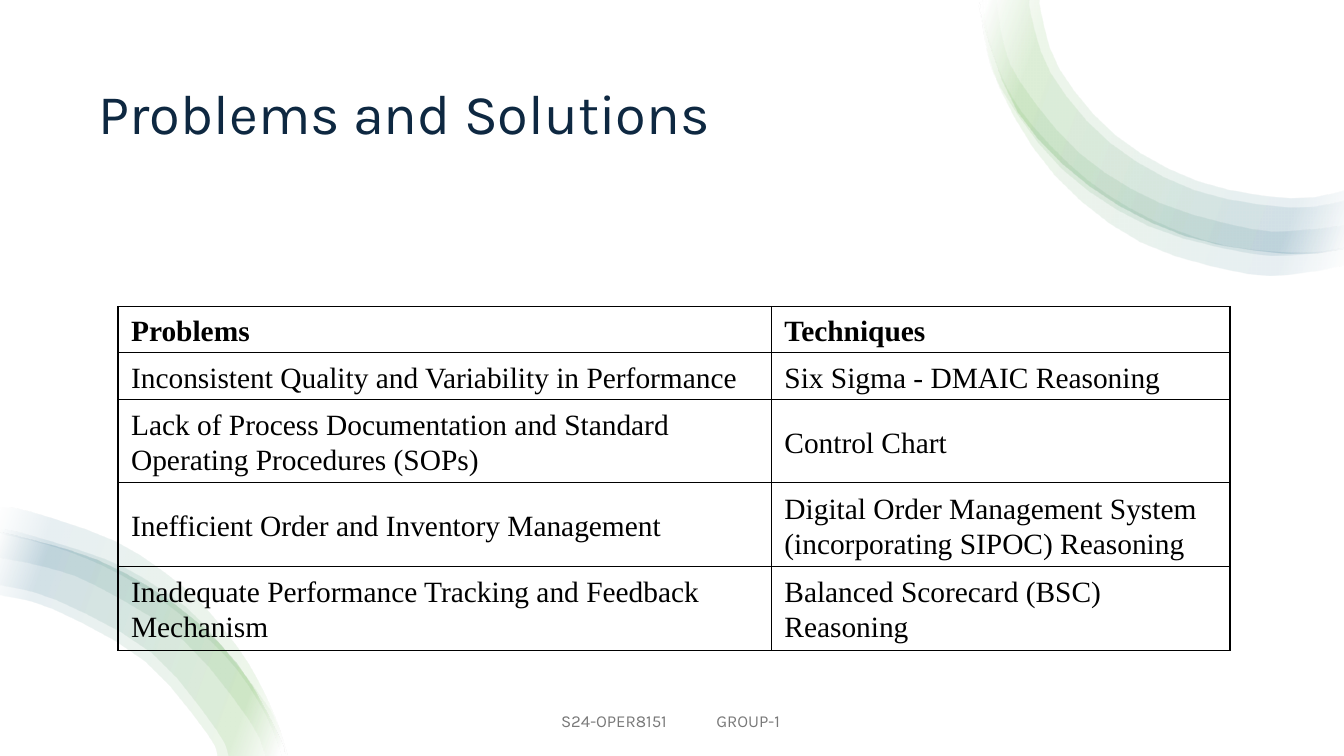
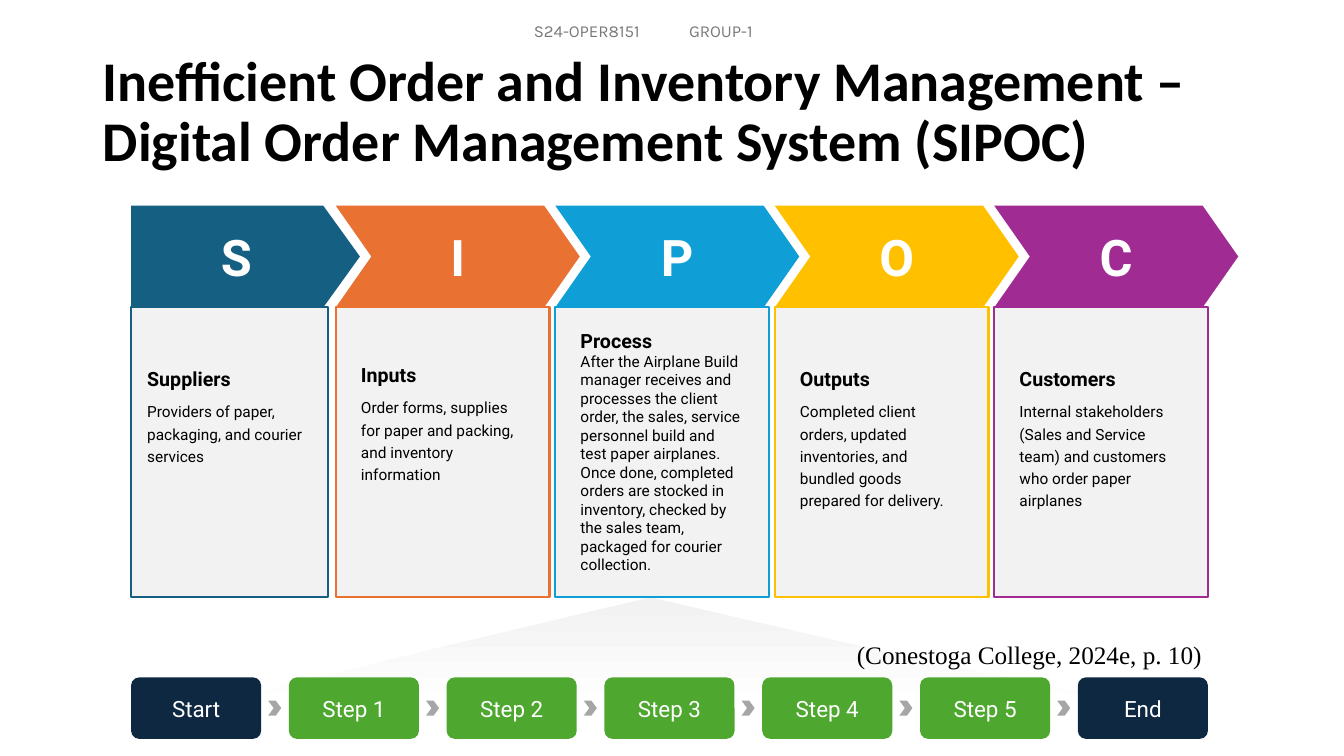
from lxml import etree
from pptx import Presentation
from pptx.dml.color import RGBColor
from pptx.enum.shapes import MSO_SHAPE as Shape
from pptx.enum.text import MSO_ANCHOR as Anchor, MSO_AUTO_SIZE as AutoSize, PP_ALIGN as Align
from pptx.oxml.ns import qn
from pptx.util import Inches, Pt

COLORS = {
    "navy": "0E2841", "teal": "156082", "orange": "E97132", "blue": "0F9ED5",
    "yellow": "FFC000", "purple": "A02B93", "green": "4EA72E", "black": "000000",
    "white": "FFFFFF", "panel": "F2F2F2", "arrow": "A6A6A6", "footer": "797979",
}
FOOTER = "S24-OPER8151 \t GROUP-1 "
SERIF = "Times New Roman"

# Ribbon bands as (outer edge, inner edge); edges run through these points.
TOP_EDGE = [(9.73, -0.01), (9.74, 0.2), (10.09, 1.11), (10.8, 1.84), (11.74, 2.33),
            (12.79, 2.51), (13.34, 2.45)]
TOP_RIBBON = [
    (TOP_EDGE, [(10.31, -0.01), (10.32, 0.12), (10.5, 0.68), (11.06, 1.34), (11.87, 1.79),
                (12.79, 1.96), (13.34, 1.88)]),
    (TOP_EDGE, [(10.21, -0.01), (10.22, 0.14), (10.42, 0.73), (11, 1.41), (11.84, 1.88),
                (12.79, 2.05), (13.34, 1.98)]),
    ([(9.73, -0.01), (9.78, 0.43), (9.94, 0.89), (10.54, 1.68), (11.39, 2.24),
      (12.39, 2.51), (12.91, 2.52), (13.34, 2.46)],
     [(9.89, -0.01), (9.95, 0.39), (10.12, 0.81), (10.71, 1.52), (11.5, 2.01),
      (12.42, 2.27), (12.89, 2.28), (13.34, 2.23)]),
    ([(9.71, -0.01), (9.72, 0.13), (9.91, 0.87), (10.46, 1.74), (11.31, 2.4),
      (12.36, 2.71), (12.92, 2.7), (13.34, 2.62)],
     [(9.74, -0.01), (9.8, 0.37), (9.97, 0.84), (10.25, 1.26), (10.79, 1.79),
      (11.43, 2.18), (12.14, 2.43), (12.9, 2.5), (13.34, 2.45)]),
]
BOTTOM_EDGE = [(0, 5.3), (0.11, 5.31), (0.96, 5.56), (1.73, 6), (2.35, 6.59),
               (2.76, 7.3), (2.82, 7.5)]
BOTTOM_RIBBON = [
    ([(0, 5.04), (0.29, 5.08), (1.15, 5.38), (1.78, 5.8), (2.1, 6.11), (2.45, 6.57),
      (2.71, 7.08), (2.85, 7.5)],
     [(0, 5.3), (0.5, 5.42), (1.02, 5.62), (1.51, 5.9), (1.95, 6.24), (2.34, 6.64),
      (2.64, 7.11), (2.79, 7.5)]),
    (BOTTOM_EDGE, [(0, 5.91), (0.53, 6.05), (1.43, 6.56), (2.05, 7.28), (2.15, 7.5)]),
    ([(0, 5.26), (0.24, 5.3), (1.06, 5.56), (1.56, 5.83), (2, 6.18), (2.68, 7.05),
      (2.83, 7.5)],
     [(0, 5.54), (0.44, 5.63), (0.94, 5.81), (1.82, 6.36), (2.47, 7.15), (2.63, 7.5)]),
    (BOTTOM_EDGE, [(0, 5.81), (0.56, 5.96), (1.5, 6.48), (2.14, 7.24), (2.26, 7.5)]),
]
RIBBON_STOPS = [(2, "white", 10), (16, "green", 10), (85, "teal", 10), (100, "white", 10)]

PROBLEMS = [
    ("Problems", "Techniques"),
    ("Inconsistent Quality and Variability in Performance", "Six Sigma - DMAIC Reasoning"),
    ("Lack of Process Documentation and Standard Operating Procedures (SOPs)",
     "Control Chart"),
    ("Inefficient Order and Inventory Management",
     "Digital Order Management System (incorporating SIPOC) Reasoning"),
    ("Inadequate Performance Tracking and Feedback Mechanism",
     "Balanced Scorecard (BSC) Reasoning"),
]

# Colour, heading, description, top of the text
SIPOC = [
    ("teal", "Suppliers", "Providers of paper, packaging, and courier services", 3.64),
    ("orange", "Inputs",
     "Order forms, supplies for paper and packing, and inventory information", 3.6),
    ("blue", "Process",
     "After the Airplane Build manager receives and processes the client order, the sales, "
     "service personnel build and test paper airplanes. Once done, completed orders are "
     "stocked in inventory, checked by the sales team, packaged for courier collection.", 3.26),
    ("yellow", "Outputs",
     "Completed client orders, updated inventories, and bundled goods prepared for delivery.",
     3.64),
    ("purple", "Customers",
     "Internal stakeholders (Sales and Service team) and customers who order paper airplanes",
     3.64),
]
STEPS = ["Start", *(f"Step {n}" for n in range(1, 6)), "End"]


def rgb(color):
    return RGBColor.from_string(COLORS[color])


def write(paragraph, text, *, size, font, color="black", bold=False,
          align=Align.LEFT, spacing=1.0, before=0, after=0):
    run = paragraph.add_run()
    run.text = text
    run.font.size, run.font.name, run.font.bold = Pt(size), font, bold
    run.font.color.rgb = rgb(color)
    paragraph.alignment, paragraph.line_spacing = align, spacing
    paragraph.space_before, paragraph.space_after = Pt(before), Pt(after)


def add_box(slide, kind, left, top, width, height, fill, line=None, adjust=None):
    box = slide.shapes.add_shape(kind, Inches(left), Inches(top), Inches(width), Inches(height))
    box.shadow.inherit = False
    box.fill.solid()
    box.fill.fore_color.rgb = rgb(fill)
    if line:
        box.line.color.rgb = rgb(line)
        box.line.width = Pt(1.5)
    else:
        box.line.fill.background()
    if adjust is not None:
        box.adjustments[0] = adjust
    return box


def add_text_frame(slide, left, top, width, height, inset=None):
    frame = slide.shapes.add_textbox(
        Inches(left), Inches(top), Inches(width), Inches(height)).text_frame
    frame.word_wrap = True
    if inset is not None:
        frame.margin_left = frame.margin_right = Inches(inset)
        frame.margin_top = frame.margin_bottom = Inches(inset)
    return frame


def add_gradient_outline(slide, points, stops, angle):
    """Closed outline with stops of (percent, colour, opacity) and a clockwise angle."""
    (start, *rest) = [(Inches(x), Inches(y)) for x, y in points]
    builder = slide.shapes.build_freeform(*start)
    builder.add_line_segments(rest, close=True)
    outline = builder.convert_to_shape()
    outline.shadow.inherit = False
    outline.line.fill.background()
    outline.fill.background()
    no_fill = outline.element.spPr.find(qn("a:noFill"))
    gradient = etree.Element(qn("a:gradFill"), rotWithShape="1")
    stop_list = etree.SubElement(gradient, qn("a:gsLst"))
    for percent, color, opacity in stops:
        stop = etree.SubElement(stop_list, qn("a:gs"), pos=str(percent * 1000))
        value = etree.SubElement(stop, qn("a:srgbClr"), val=COLORS[color])
        if opacity < 100:
            etree.SubElement(value, qn("a:alpha"), val=str(opacity * 1000))
    etree.SubElement(gradient, qn("a:lin"), ang=str(angle * 60000), scaled="0")
    no_fill.getparent().replace(no_fill, gradient)


def smooth_edge(points, pieces=3):
    """Points along a Catmull-Rom curve through the given ones."""
    padded = [points[0], *points, points[-1]]
    curve = [points[0]]
    for a, b, c, d in zip(padded, padded[1:], padded[2:], padded[3:]):
        for piece in range(1, pieces + 1):
            t = piece / pieces
            curve.append(tuple(
                q + 0.5 * t * (r - p + t * (2 * p - 5 * q + 4 * r - s
                                            + t * (3 * (q - r) + s - p)))
                for p, q, r, s in zip(a, b, c, d)))
    return curve


def add_ribbon(slide, bands, angle):
    for outer, inner in bands:
        points = smooth_edge(outer) + smooth_edge(inner)[::-1]
        add_gradient_outline(slide, points, RIBBON_STOPS, angle)


def set_title(slide, text, left, top, width, height, **style):
    title = slide.shapes.title
    title.left, title.top = Inches(left), Inches(top)
    title.width, title.height = Inches(width), Inches(height)
    frame = title.text_frame
    frame.word_wrap, frame.auto_size = True, AutoSize.NONE
    frame.vertical_anchor = Anchor.MIDDLE
    write(frame.paragraphs[0], text, size=40, spacing=0.9, **style)


def add_footer(slide, left, top):
    frame = add_text_frame(slide, left, top, 4.5, 0.4)
    frame.vertical_anchor = Anchor.MIDDLE
    write(frame.paragraphs[0], FOOTER, size=12, font="Karla", color="footer",
          align=Align.CENTER)


def add_cell_borders(cell):
    properties = cell._tc.get_or_add_tcPr()
    for position, side in enumerate(("lnL", "lnR", "lnT", "lnB")):
        border = etree.Element(qn(f"a:{side}"), w=str(Pt(1)))
        fill = etree.SubElement(border, qn("a:solidFill"))
        etree.SubElement(fill, qn("a:srgbClr"), val=COLORS["black"])
        properties.insert(position, border)


def add_problem_table(slide):
    table = slide.shapes.add_table(
        len(PROBLEMS), 2, Inches(1.17), Inches(3.04), Inches(11.03), Inches(3.41)).table
    table.first_row = table.horz_banding = False
    for column, width in zip(table.columns, (6.48, 4.55)):
        column.width = Inches(width)
    for row, height, texts in zip(table.rows, (0.46, 0.46, 0.83, 0.83, 0.83), PROBLEMS):
        row.height = Inches(height)
        for cell, text in zip(row.cells, texts):
            cell.fill.background()
            add_cell_borders(cell)
            cell.vertical_anchor = Anchor.MIDDLE
            cell.margin_left = cell.margin_right = Inches(0.13)
            cell.margin_top, cell.margin_bottom = Inches(0.02), 0
            write(cell.text_frame.paragraphs[0], text, size=21, font=SERIF,
                  bold=texts is PROBLEMS[0], spacing=1.07)


def add_sipoc_column(slide, index, color, heading, description, text_top):
    first, dense = index == 0, heading == "Process"
    left = 1.3 if first else 3.33 + 2.177 * (index - 1)
    add_box(slide, Shape.RECTANGLE, left, 3.05, 1.95 if first else 2.12, 2.87,
            "panel", line=color)
    if first:
        banner = add_box(slide, Shape.PENTAGON, left, 2.04, 2.27, 1.01, color, adjust=0.36)
    else:
        banner = add_box(slide, Shape.CHEVRON, left, 2.04, 2.42, 1.01, color, adjust=0.35)
    write(banner.text_frame.paragraphs[0], heading[0], size=36, font="Roboto",
          color="white", bold=True, align=Align.CENTER)
    frame = add_text_frame(slide, left + (0.16 if first else 0.25), text_top, 1.62,
                           2.46 if dense else 1.27, inset=0)
    before = 0 if dense else 6
    write(frame.paragraphs[0], heading, size=14, font="Roboto", bold=True, before=before)
    write(frame.add_paragraph(), description, size=11, font="Roboto",
          spacing=1.0 if dense else 1.2, before=before)


def add_step_row(slide):
    for index, label in enumerate(STEPS):
        left = 1.3 + 1.565 * index
        color = "navy" if label in ("Start", "End") else "green"
        step = add_box(slide, Shape.ROUNDED_RECTANGLE, left, 6.72, 1.29, 0.61, color, adjust=0.13)
        write(step.text_frame.paragraphs[0], label, size=16, font="Roboto",
              color="white", align=Align.CENTER)
        if label != "End":
            add_box(slide, Shape.CHEVRON, left + 1.36, 6.95, 0.13, 0.15, "arrow", adjust=0.42)


def build_problems_slide(slide):
    set_title(slide, "Problems and Solutions", 0.88, 0.5, 11.57, 1.3,
              font="Karla", color="navy")
    add_ribbon(slide, TOP_RIBBON, 20)
    add_ribbon(slide, BOTTOM_RIBBON, 200)
    add_footer(slide, 4.42, 6.95)
    add_problem_table(slide)


def build_sipoc_slide(slide):
    set_title(slide, "Inefficient Order and Inventory Management – "
              "Digital Order Management System (SIPOC)", 0.92, 0.4, 11.5, 1.45,
              font="Calibri", bold=True)
    add_footer(slide, 4.15, 0.11)
    process_spread = [(6.45, 5.93), (4.3, 6.44), (1.91, 7.03), (11.48, 7.03), (8.96, 6.51)]
    add_gradient_outline(slide, process_spread, [(0, "white", 100), (98, "panel", 100)], 270)
    for index, column in enumerate(SIPOC):
        add_sipoc_column(slide, index, *column)
    add_step_row(slide)
    citation = add_text_frame(slide, 8.4, 6.27, 4, 0.41)
    write(citation.paragraphs[0], "(Conestoga College, 2024e, p. 10)", size=18, font=SERIF,
          align=Align.JUSTIFY, spacing=1.07, after=8)


def main():
    deck = Presentation()
    deck.slide_width, deck.slide_height = Inches(13.33), Inches(7.5)
    title_only = deck.slide_layouts[5]
    for build in (build_problems_slide, build_sipoc_slide):
        build(deck.slides.add_slide(title_only))
    deck.save("out.pptx")


if __name__ == "__main__":
    main()
